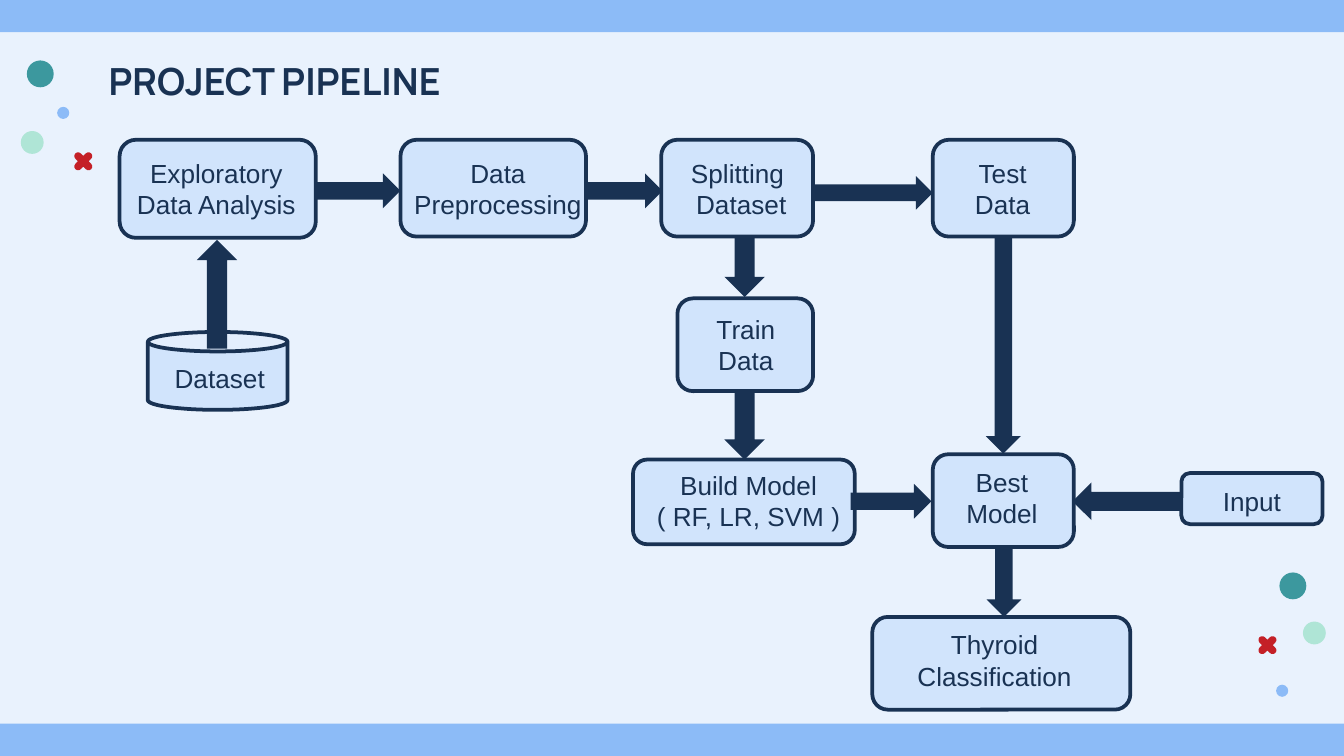
from math import cos, pi, sin, sqrt

from pptx import Presentation
from pptx.dml.color import RGBColor
from pptx.enum.shapes import MSO_SHAPE
from pptx.enum.text import PP_ALIGN
from pptx.util import Inches, Pt

NAVY, PALE, SKY, BLUE = "193253", "D1E4FC", "E9F2FD", "8CBBF7"
TEAL, MINT, RED = "3C989E", "AFE5D6", "C42027"

WIDTH = 10
HEIGHT = WIDTH * 9 / 16
BAND = 0.24

DOTS = [
    (0.3, 0.55, 0.2, TEAL), (0.47, 0.84, 0.09, BLUE), (0.24, 1.06, 0.17, MINT),
    (9.62, 4.36, 0.2, TEAL), (9.54, 5.14, 0.09, BLUE), (9.78, 4.71, 0.17, MINT),
]
CROSSES = [(0.62, 1.2), (9.43, 4.8)]

NODES = [
    (["Exploratory", "Data Analysis"], (0.89, 1.04, 1.46, 0.73), (0.91, 1.12, 1.4, 0.57), False),
    (["Data", "Preprocessing"], (2.98, 1.04, 1.38, 0.72), (2.98, 1.12, 1.45, 0.57), False),
    (["Splitting ", "Dataset"], (4.92, 1.04, 1.13, 0.72), (5.04, 1.12, 0.95, 0.57), False),
    (["Test", "Data"], (6.94, 1.04, 1.05, 0.72), (7.15, 1.12, 0.62, 0.57), False),
    (["Train", "Data"], (5.04, 2.22, 1.01, 0.69), (5.17, 2.28, 0.76, 0.57), False),
    (["Build Model", "( RF, LR, SVM )"], (4.71, 3.42, 1.65, 0.63), (4.61, 3.44, 1.92, 0.57), True),
    (["Best", "Model"], (6.94, 3.38, 1.05, 0.69), (7.09, 3.42, 0.73, 0.57), False),
    (["Thyroid Classification"], (6.49, 4.59, 1.92, 0.69), (6.44, 4.63, 1.92, 0.57), True),
    (["Input"], (8.79, 3.52, 1.05, 0.38), (8.94, 3.56, 0.75, 0.34), True),
]
STORE = (["Dataset"], (1.1, 2.47, 1.04, 0.58), (1.17, 2.65, 0.93, 0.34), False)

RIGHT, DOWN, LEFT, UP = 0, 90, 180, 270
ARROWS = [
    ((2.35, 1.29, 0.63, 0.26), RIGHT),
    ((4.37, 1.29, 0.56, 0.26), RIGHT),
    ((6.05, 1.31, 0.89, 0.25), RIGHT),
    ((6.33, 3.6, 0.6, 0.26), RIGHT),
    ((6.66, 2.44, 1.61, 0.26), DOWN),
    ((5.32, 1.84, 0.44, 0.3), DOWN),
    ((5.28, 3.01, 0.52, 0.3), DOWN),
    ((7.21, 4.2, 0.52, 0.26), DOWN),
    ((7.98, 3.59, 0.81, 0.28), LEFT),
    ((1.21, 2.04, 0.81, 0.3), UP),
]


def color(value):
    return RGBColor.from_string(value)


def paint(shape, fill, line=None):
    shape.shadow.inherit = False
    shape.fill.solid()
    shape.fill.fore_color.rgb = color(fill)
    if line:
        shape.line.color.rgb = color(line)
        shape.line.width = Pt(2)
    else:
        shape.line.fill.background()


def add_shape(page, kind, place, fill, line=None, rotation=0):
    shape = page.shapes.add_shape(kind, *map(Inches, place))
    shape.rotation = rotation
    paint(shape, fill, line)


def add_text(page, lines, place, size=14, font="Arial", bold=False,
             align=PP_ALIGN.CENTER, wrap=True, inset=0.05):
    box = page.shapes.add_textbox(*map(Inches, place))
    frame = box.text_frame
    frame.word_wrap = wrap
    frame.margin_top = frame.margin_bottom = Inches(inset)
    for index, line in enumerate(lines):
        para = frame.paragraphs[0] if index == 0 else frame.add_paragraph()
        para.alignment = align
        span = para.add_run()
        span.text = line
        span.font.size = Pt(size)
        span.font.name = font
        span.font.bold = bold
        span.font.color.rgb = color(NAVY)


def add_cross(page, x, y, reach=0.055, radius=0.028, steps=6):
    points = []
    for arm in range(4):
        angle = pi / 4 + arm * pi / 2
        for step in range(steps + 1):
            turn = angle - pi / 2 + pi * step / steps
            points.append((x + reach * cos(angle) + radius * cos(turn),
                           y + reach * sin(angle) + radius * sin(turn)))
        notch = angle + pi / 4
        points.append((x + radius * sqrt(2) * cos(notch), y + radius * sqrt(2) * sin(notch)))
    points = [(Inches(across), Inches(down)) for across, down in points]
    builder = page.shapes.build_freeform(*points[0])
    builder.add_line_segments(points[1:], close=True)
    paint(builder.convert_to_shape(), RED)


def add_node(page, kind, node):
    lines, place, text_place, wrap = node
    add_shape(page, kind, place, PALE, NAVY)
    add_text(page, lines, text_place, wrap=wrap)


def main():
    deck = Presentation()
    deck.slide_width, deck.slide_height = Inches(WIDTH), Inches(HEIGHT)
    page = deck.slides.add_slide(deck.slide_layouts[6])
    page.background.fill.solid()
    page.background.fill.fore_color.rgb = color(SKY)

    for x, y, size, fill in DOTS:
        add_shape(page, MSO_SHAPE.OVAL, (x - size / 2, y - size / 2, size, size), fill)
    for x, y in CROSSES:
        add_cross(page, x, y)
    for top in (0, HEIGHT - BAND):
        add_shape(page, MSO_SHAPE.RECTANGLE, (0, top, WIDTH, BAND), BLUE)

    add_text(page, ["PROJECT PIPELINE"], (0.71, 0.33, 8.43, 0.63), size=20,
             font="Manrope", bold=True, align=PP_ALIGN.LEFT, inset=0.1)
    for node in NODES:
        add_node(page, MSO_SHAPE.ROUNDED_RECTANGLE, node)
    add_node(page, MSO_SHAPE.CAN, STORE)
    for place, rotation in ARROWS:
        add_shape(page, MSO_SHAPE.RIGHT_ARROW, place, NAVY, rotation=rotation)

    deck.save("out.pptx")


if __name__ == "__main__":
    main()
